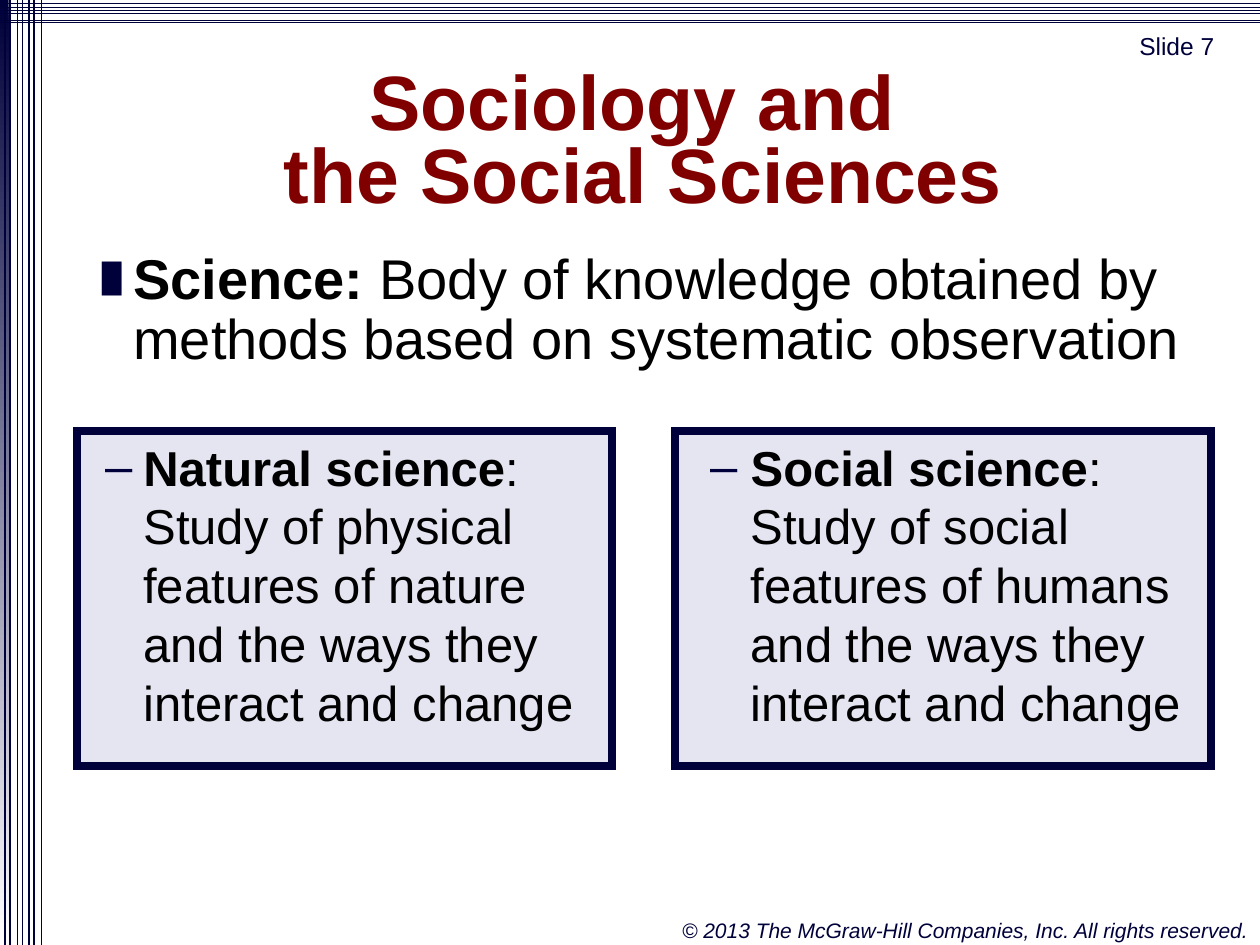
import pptx
import pptx.dml.color
import pptx.enum.shapes
import pptx.enum.text
import pptx.oxml
import pptx.oxml.ns
import pptx.util
from lxml import etree

Pt = pptx.util.Pt
qn = pptx.oxml.ns.qn
ALIGN = pptx.enum.text.PP_ALIGN
ANCHOR = pptx.enum.text.MSO_ANCHOR
RECT = pptx.enum.shapes.MSO_SHAPE.RECTANGLE
NAVY, MAROON, BLACK = "00003A", "800000", "000000"

deck = pptx.Presentation()
deck.slide_width = pptx.util.Inches(10)
deck.slide_height = pptx.util.Inches(7.5)
slide = deck.slides.add_slide(deck.slide_layouts[6])
shapes = slide.shapes

# Grid of 100 columns by 75 rows
COL = deck.slide_width // 100
ROW = deck.slide_height // 75


def color(code):
    return pptx.dml.color.RGBColor.from_string(code)


def write(shape, runs, size, ink, align=ALIGN.LEFT, anchor=ANCHOR.TOP,
          wrap=True, spacing=None, bullet=None):
    """Fill a shape with one paragraph; runs are (text, bold) pairs, with
    None for a line break, and bullet is (character, percent size, indent
    in columns, hang in columns)."""
    frame = shape.text_frame
    frame.word_wrap = wrap
    frame.vertical_anchor = anchor
    paragraph = frame.paragraphs[0]
    paragraph.alignment = align
    if spacing:
        paragraph.line_spacing = spacing
    if bullet:
        character, percent, indent, hang = bullet
        properties = paragraph._p.get_or_add_pPr()
        properties.set("marL", str(int(indent * COL)))
        properties.set("indent", str(int(-hang * COL)))
        tint = etree.SubElement(properties, qn("a:buClr"))
        etree.SubElement(tint, qn("a:srgbClr"), val=NAVY)
        etree.SubElement(properties, qn("a:buSzPct"), val=str(percent * 1000))
        etree.SubElement(properties, qn("a:buFont"), typeface="Arial")
        etree.SubElement(properties, qn("a:buChar"), char=character)
    paragraph.font.name = "Arial"
    paragraph.font.size = Pt(size)
    paragraph.font.color.rgb = color(ink)
    for part in runs:
        if part is None:
            paragraph.add_line_break()
            continue
        run = paragraph.add_run()
        run.text, run.font.bold = part
    return paragraph


# Gradient band down the left edge
band = shapes.add_shape(RECT, 0, 0, int(0.7 * COL), 75 * ROW)
band.shadow.inherit = False
band.line.fill.background()
band.fill.gradient()
band.fill.gradient_angle = 270
for stop, tone in zip(band.fill.gradient_stops, (NAVY, "FFFFFF")):
    stop.color.rgb = color(tone)

# Fine rules along the left and top edges
rules = [(x, 75, x, 0, 0.75) for x in (0.4, 0.8, 1.4, 1.8, 2.3, 2.7, 3.3)]
rules += [(0, y, 100, y, 0.5) for y in (0.3, 0.6, 0.8, 1.1, 1.6, 1.8)]
for x1, y1, x2, y2, weight in rules:
    rule = shapes.add_connector(
        pptx.enum.shapes.MSO_CONNECTOR.STRAIGHT,
        int(x1 * COL), int(y1 * ROW), int(x2 * COL), int(y2 * ROW))
    rule.line.color.rgb = color(NAVY)
    rule.line.width = Pt(weight)
    etree.SubElement(rule._element.spPr, qn("a:effectLst"))

# Copyright line and slide number
copyright_line = shapes.add_textbox(
    int(53.1 * COL), int(72.3 * ROW), 47 * COL, 3 * ROW)
notice = write(
    copyright_line,
    [("© 2013 The McGraw-Hill Companies, Inc. All rights reserved.", False)],
    12, NAVY, align=ALIGN.RIGHT, wrap=False)
notice.font.italic = True

slide_number = shapes.add_textbox(
    int(88.2 * COL), int(2.4 * ROW), int(10.4 * COL), int(2.5 * ROW))
write(slide_number, [("Slide 7", False)], 14, NAVY,
      align=ALIGN.CENTER, anchor=ANCHOR.MIDDLE, wrap=False)

# Title
title = shapes.add_textbox(
    4 * COL, int(3.5 * ROW), int(94.1 * COL), 16 * ROW)
write(title,
      [("Sociology and ", True), None, ("the Social Sciences", True)],
      44, MAROON, align=ALIGN.CENTER, anchor=ANCHOR.MIDDLE, spacing=0.8)

# Definition of science
definition = shapes.add_textbox(
    int(7.1 * COL), int(19.4 * ROW), 90 * COL, int(10.1 * ROW))
write(definition,
      [("Science: ", True),
       ("Body of knowledge obtained by methods based on "
        "systematic observation", False)],
      32, BLACK, spacing=0.9, bullet=("█", 50, 2.5, 2.5))

# The two branches, side by side
branches = [
    ("Natural science", "physical features of nature", 4.3, 3),
    ("Social science", "social features of humans", 5, 3.2),
]
for place, (branch, subject, indent, hang) in enumerate(branches):
    panel = shapes.add_shape(
        RECT, int((6.1 + 47.5 * place) * COL), int(34.2 * ROW),
        int(42.5 * COL), int(26.6 * ROW))
    panel.shadow.inherit = False
    panel.fill.solid()
    panel.fill.fore_color.rgb = color("000080")
    tint = panel._element.spPr.find(qn("a:solidFill"))[0]
    etree.SubElement(tint, qn("a:alpha"), val="10000")
    panel.line.color.rgb = color(NAVY)
    panel.line.width = Pt(4.5)
    # Square corners
    border = panel._element.spPr.find(qn("a:ln"))
    etree.SubElement(border, qn("a:miter"), lim="800000")
    write(panel,
          [(branch, True),
           (f": Study of {subject} and the ways they interact and change",
            False)],
          28, BLACK, bullet=("–", 100, indent, hang))

deck.save("out.pptx")
